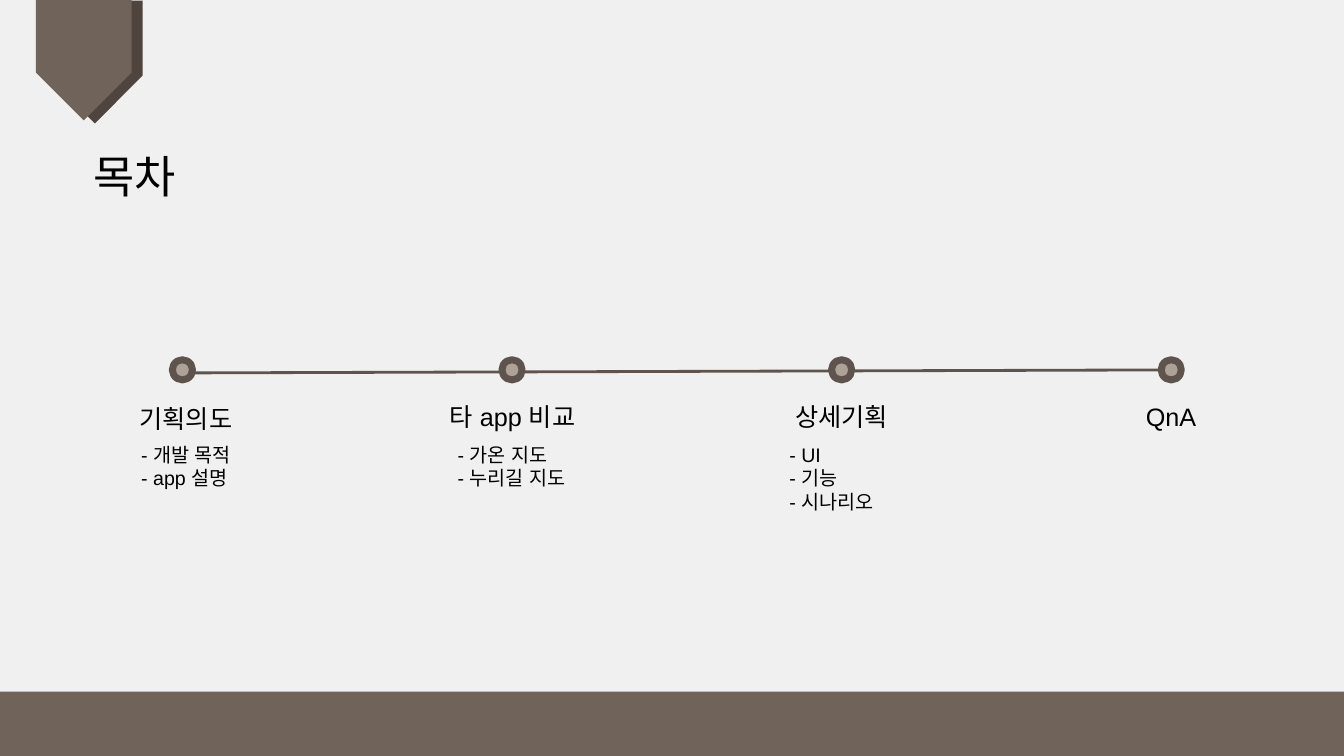
from lxml import etree
from pptx import Presentation
from pptx.dml.color import RGBColor
from pptx.enum.shapes import MSO_CONNECTOR, MSO_SHAPE
from pptx.enum.text import MSO_ANCHOR, MSO_AUTO_SIZE, PP_ALIGN
from pptx.oxml.ns import qn
from pptx.util import Pt

RECT, OVAL, PENTAGON = MSO_SHAPE.RECTANGLE, MSO_SHAPE.OVAL, MSO_SHAPE.PENTAGON
LEFT, CENTER = PP_ALIGN.LEFT, PP_ALIGN.CENTER
TOP, MIDDLE = MSO_ANCHOR.TOP, MSO_ANCHOR.MIDDLE

PAPER = RGBColor(0xF0, 0xF0, 0xF0)
BROWN = RGBColor(0x70, 0x63, 0x5A)
DARK_BROWN = RGBColor(0x50, 0x45, 0x3E)
LINE_BROWN = RGBColor(0x5F, 0x54, 0x4D)
LIGHT_BROWN = RGBColor(0xAE, 0xA1, 0x98)
BLACK = RGBColor(0, 0, 0)

# Heading, its left, top, width and height
HEADINGS = [
    ("기획의도", 83.5, 284.4, 98.6, 24.5),
    ("타 app 비교", 291.6, 283.4, 149, 28.8),
    ("상세기획", 551.7, 283.4, 98.6, 51.1),
    ("QnA", 787.2, 283.4, 98.6, 28.8),
]
# Body placeholder, its lines, left, width and height
LISTS = [
    (1, ["- 개발 목적", "- app 설명"], 93.6, 125.3, 67),
    (2, ["- 가온 지도", "- 누리길 지도"], 319.7, 113.8, 24.5),
    (4, ["- UI", "- 기능", "- 시나리오"], 556.6, 113.8, 80.6),
]
LIST_TOP = 312.5
DOT_LEFT, DOT_TOP, DOT_SIZE, DOT_STEP = 123.1, 257, 14.4, 235.45


def write(sp, lines, size=18, align=CENTER, anchor=TOP, font="Arial", color=BLACK):
    tf = sp.text_frame
    tf.word_wrap = True
    tf.auto_size = MSO_AUTO_SIZE.NONE
    tf.vertical_anchor = anchor
    for i, line in enumerate(lines):
        p = tf.add_paragraph() if i else tf.paragraphs[0]
        p.alignment = align
        p.line_spacing = 1.0
        p.space_before = p.space_after = Pt(0)
        pPr = p._p.get_or_add_pPr()
        pPr.set("marL", "0")
        pPr.set("indent", "0")
        etree.SubElement(pPr, qn("a:buNone"))
        r = p.add_run()
        r.text = line
        r.font.size, r.font.name, r.font.bold = Pt(size), font, False
        r.font.color.rgb = color
        etree.SubElement(r.font._element, qn("a:ea"), typeface=font)


class Deck:
    def __init__(self, layout):
        self.prs = Presentation()
        self.prs.slide_width, self.prs.slide_height = Pt(960), Pt(540)
        self.slide = self.prs.slides.add_slide(self.prs.slide_layouts[layout])
        fill = self.slide.background.fill
        fill.solid()
        fill.fore_color.rgb = PAPER

    def placeholder(self, idx, lines, x, y, w, h, **style):
        sp = self.slide.placeholders[idx]
        sp.left, sp.top, sp.width, sp.height = Pt(x), Pt(y), Pt(w), Pt(h)
        write(sp, lines, **style)

    def drop_empty(self):
        for sp in list(self.slide.placeholders):
            if not sp.text_frame.text:
                sp._element.getparent().remove(sp._element)

    def shape(self, kind, x, y, w, h, fill, line=None, weight=0, rotation=0):
        sp = self.slide.shapes.add_shape(kind, Pt(x), Pt(y), Pt(w), Pt(h))
        sp.shadow.inherit = False
        sp.rotation = rotation
        sp.fill.solid()
        sp.fill.fore_color.rgb = fill
        if line is None:
            sp.line.fill.background()
        else:
            sp.line.color.rgb = line
            sp.line.width = Pt(weight)

    def line(self, x1, y1, x2, y2, color, weight):
        cn = self.slide.shapes.add_connector(
            MSO_CONNECTOR.STRAIGHT, Pt(x1), Pt(y1), Pt(x2), Pt(y2))
        cn.line.color.rgb = color
        cn.line.width = Pt(weight)
        etree.SubElement(cn._element.spPr, qn("a:effectLst"))

    def text(self, content, x, y, w, h, **style):
        sp = self.slide.shapes.add_textbox(Pt(x), Pt(y), Pt(w), Pt(h))
        write(sp, [content], **style)


def main():
    deck = Deck(layout=4)  # Comparison: a title and four bodies

    # Ribbon and title
    deck.shape(PENTAGON, 23.8, 10.1, 87.8, 68.4, DARK_BROWN, rotation=90)
    deck.shape(PENTAGON, 16.6, 8.6, 86.4, 68.4, BROWN, rotation=90)
    deck.placeholder(0, ["목차"], 25, 102.5, 142.6, 46, size=32, anchor=MIDDLE)

    # Timeline
    deck.line(132.5, 266.4, 843.8, 264.2, LINE_BROWN, 2)
    for i, heading in enumerate(HEADINGS):
        deck.shape(OVAL, DOT_LEFT + i * DOT_STEP, DOT_TOP, DOT_SIZE, DOT_SIZE,
                   LIGHT_BROWN, LINE_BROWN, 5)
        deck.text(*heading)

    # Lists under the headings
    for idx, lines, x, w, h in LISTS:
        deck.placeholder(idx, lines, x, LIST_TOP, w, h, size=14, align=LEFT)
    deck.drop_empty()

    # Footer band
    deck.shape(RECT, -4.3, 494, 964.3, 46, BROWN)

    deck.prs.save("out.pptx")


if __name__ == "__main__":
    main()
